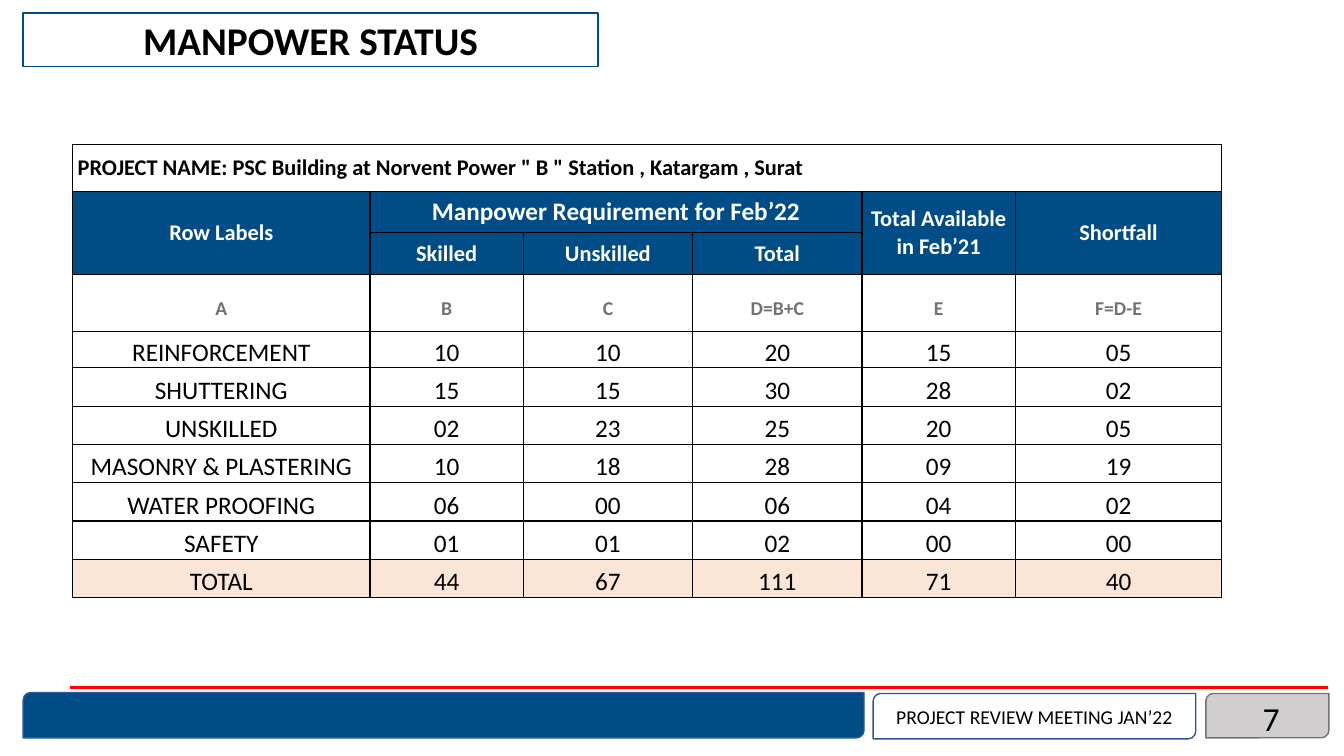
from lxml import etree
from pptx import Presentation
from pptx.dml.color import RGBColor
from pptx.enum.shapes import MSO_CONNECTOR, MSO_SHAPE
from pptx.enum.text import MSO_ANCHOR as Anchor, PP_ALIGN as Align
from pptx.oxml.ns import qn
from pptx.util import Inches, Pt

BLUE = RGBColor(0x00, 0x4C, 0x86)
EDGE = RGBColor(0x32, 0x54, 0x91)
RED = RGBColor(0xFF, 0x00, 0x00)
GREY = RGBColor(0x76, 0x71, 0x71)
SILVER = RGBColor(0xD0, 0xCE, 0xCE)
PEACH = RGBColor(0xFB, 0xE5, 0xD6)
BLACK = RGBColor(0x00, 0x00, 0x00)
WHITE = RGBColor(0xFF, 0xFF, 0xFF)


def write(frame, text, size, color=BLACK, bold=False, align=Align.CENTER, gap=1.0):
    frame.word_wrap = True
    para = frame.paragraphs[0]
    para.alignment, para.line_spacing = align, gap
    run = para.add_run()
    run.text = text
    look = {"name": "Calibri", "size": Pt(size), "bold": bold}
    for key, value in look.items():
        setattr(run.font, key, value)
    run.font.color.rgb = color


def paint(item, color):
    if color is None:
        item.fill.background()
    else:
        item.fill.solid()
        item.fill.fore_color.rgb = color


deck = Presentation()
deck.slide_width, deck.slide_height = Inches(13.33), Inches(7.5)
slide = deck.slides.add_slide(deck.slide_layouts[5])
shapes = slide.shapes

# Title in a slanted frame
title = shapes.title
place = {"left": 0.23, "top": 0.13, "width": 5.7, "height": 0.53}
for key, value in place.items():
    setattr(title, key, Inches(value))
geom = etree.SubElement(title._element.spPr, qn("a:prstGeom"), prst="parallelogram")
etree.SubElement(geom, qn("a:avLst"))
paint(title, None)
title.line.color.rgb = BLUE
title.line.width = Pt(1)
title.text_frame.vertical_anchor = Anchor.MIDDLE
write(title.text_frame, "MANPOWER STATUS", 28, bold=True)

# Manpower table
heads = [
    ["PROJECT NAME: PSC Building at Norvent Power \" B \" Station , Katargam , Surat"],
    ["Row Labels", "Manpower Requirement for Feb’22", "", "",
     "Total Available in Feb’21", "Shortfall"],
    ["", "Skilled", "Unskilled", "Total", "", ""],
    ["A", "B", "C", "D=B+C", "E", "F=D-E"],
]
crews = [
    ["REINFORCEMENT", "10", "10", "20", "15", "05"],
    ["SHUTTERING", "15", "15", "30", "28", "02"],
    ["UNSKILLED", "02", "23", "25", "20", "05"],
    ["MASONRY & PLASTERING", "10", "18", "28", "09", "19"],
    ["WATER PROOFING", "06", "00", "06", "04", "02"],
    ["SAFETY", "01", "01", "02", "00", "00"],
    ["TOTAL", "44", "67", "111", "71", "40"],
]
rows = heads + crews
widths = [2.95, 1.52, 1.68, 1.68, 1.52, 2.05]
heights = [0.47, 0.41, 0.41, 0.57, 0.36] + [0.38] * 6
last = len(rows) - 1

table = shapes.add_table(len(rows), len(widths), Inches(0.72), Inches(1.43),
                         Inches(sum(widths)), Inches(sum(heights))).table
table.first_row = table.horz_banding = False
for col, width in zip(table.columns, widths):
    col.width = Inches(width)
for row, height in zip(table.rows, heights):
    row.height = Inches(height)

# Format of each row, by row number; the crew rows share one
plain = {"size": 18}
looks = {
    0: {"size": 16, "bold": True, "align": Align.LEFT},
    1: {"size": 16, "bold": True, "color": WHITE},
    2: {"size": 16, "bold": True, "color": WHITE},
    3: {"size": 14, "bold": True, "color": GREY, "gap": 1.5},
}
fills = {1: BLUE, 2: BLUE, last: PEACH}
sides = ["margin_left", "margin_right", "margin_top", "margin_bottom"]

for r in range(len(rows)):
    for c in range(len(widths)):
        cell = table.cell(r, c)
        for side in sides:
            setattr(cell, side, 0)
        cell.vertical_anchor = Anchor.MIDDLE if r < len(heads) else Anchor.BOTTOM
        props = cell._tc.get_or_add_tcPr()
        for tag in ("a:lnL", "a:lnR", "a:lnT", "a:lnB"):
            edge = etree.SubElement(props, qn(tag), w=str(Pt(1)))
            solid = etree.SubElement(edge, qn("a:solidFill"))
            etree.SubElement(solid, qn("a:srgbClr"), val=str(BLACK))
        paint(cell, fills.get(r))
        text = rows[r][c] if c < len(rows[r]) else ""
        if text:
            look = dict(looks.get(r, plain))
            if (r, c) == (1, 1):
                look["size"] = 18
            write(cell.text_frame, text, **look)

table.cell(0, 0).margin_left = Inches(0.05)
for first, end in [((0, 0), (0, 5)), ((1, 0), (2, 0)), ((1, 1), (1, 3)),
                   ((1, 4), (2, 4)), ((1, 5), (2, 5))]:
    table.cell(*first).merge(table.cell(*end))

# Footer
rule = shapes.add_connector(MSO_CONNECTOR.STRAIGHT, Inches(0.69), Inches(6.82),
                            Inches(13.17), Inches(6.82))
rule.line.color.rgb = RED
rule.line.width = Pt(2.25)
etree.SubElement(rule._element.spPr, qn("a:effectLst"))

for left, top, width, height, fill, line, text in [
    (0.23, 6.87, 8.34, 0.45, BLUE, EDGE, ""),
    (8.66, 6.88, 3.2, 0.45, None, EDGE, "PROJECT REVIEW MEETING JAN’22"),
    (11.96, 6.88, 1.22, 0.44, SILVER, GREY, ""),
]:
    box = shapes.add_shape(MSO_SHAPE.ROUND_2_DIAG_RECTANGLE, Inches(left), Inches(top),
                           Inches(width), Inches(height))
    box.shadow.inherit = False
    paint(box, fill)
    box.line.color.rgb = line
    box.line.width = Pt(1)
    if text:
        box.text_frame.vertical_anchor = Anchor.MIDDLE
        write(box.text_frame, text, 14)

page = shapes.add_textbox(Inches(9.79), Inches(6.92), Inches(3), Inches(0.4))
page.text_frame.vertical_anchor = Anchor.MIDDLE
write(page.text_frame, "7", 24, align=Align.RIGHT)

deck.save("out.pptx")
